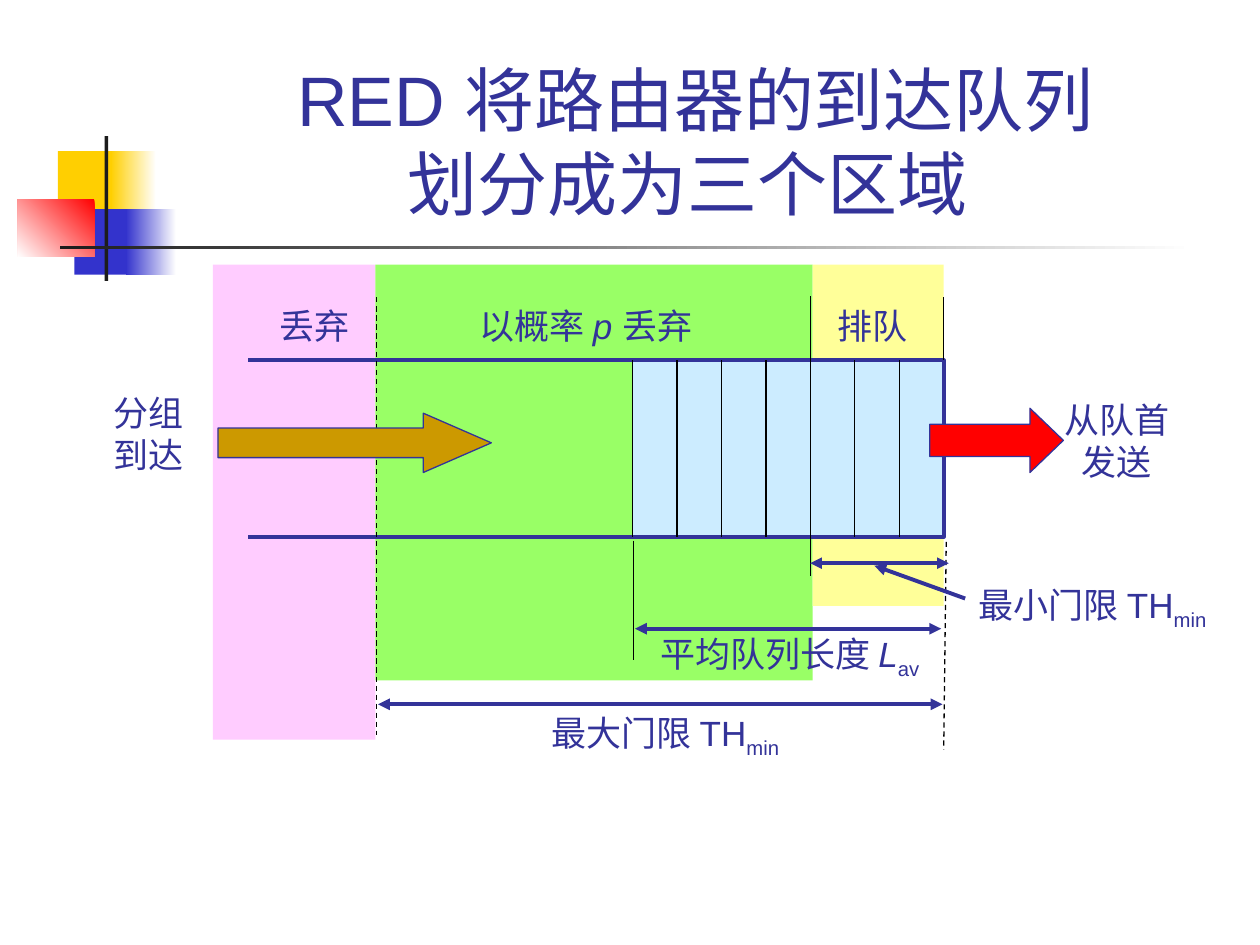
from dataclasses import dataclass

from lxml import etree
from pptx import Presentation
from pptx.dml.color import RGBColor
from pptx.enum.dml import MSO_LINE
from pptx.enum.shapes import MSO_CONNECTOR, MSO_SHAPE
from pptx.enum.text import MSO_ANCHOR, MSO_AUTO_SIZE, PP_ALIGN
from pptx.oxml.ns import qn
from pptx.util import Inches, Pt

RECT = MSO_SHAPE.RECTANGLE
ARROW = MSO_SHAPE.RIGHT_ARROW
STRAIGHT = MSO_CONNECTOR.STRAIGHT
DASH = MSO_LINE.DASH
BOTTOM = MSO_ANCHOR.BOTTOM
FIT = MSO_AUTO_SIZE.SHAPE_TO_FIT_TEXT
LEFT, CENTER = PP_ALIGN.LEFT, PP_ALIGN.CENTER
SLACK = 0.06


@dataclass(frozen=True)
class Theme:
    font: str = "Arial"
    title: float = 40
    label: float = 20
    thin: float = 0.75
    thick: float = 2.25
    ink: str = "333399"
    black: str = "000000"
    white: str = "FFFFFF"
    dark: str = "1C1C1C"
    gold: str = "FFCF01"
    blue: str = "3333CC"
    red: str = "FF0000"
    green: str = "99FF66"
    yellow: str = "FFFF99"
    pink: str = "FFCCFF"
    sky: str = "CCECFF"
    ochre: str = "CC9900"


T = Theme()


def rgb(code):
    return RGBColor.from_string(code)


def block(slide, x, y, w, h, fill, kind=RECT, angle=None):
    shape = slide.shapes.add_shape(kind, Inches(x), Inches(y), Inches(w), Inches(h))
    shape.shadow.inherit = False
    shape.line.fill.background()
    if angle is None:
        shape.fill.solid()
        shape.fill.fore_color.rgb = rgb(fill)
    else:
        shape.fill.gradient()
        shape.fill.gradient_angle = 360 - angle
        for stop, code in zip(shape.fill.gradient_stops, fill):
            stop.color.rgb = rgb(code)
    return shape


def arrow(slide, x, y, w, h, fill, tip):
    shape = block(slide, x, y, w, h, fill, ARROW)
    shape.adjustments[0] = 0.5
    shape.adjustments[1] = tip
    shape.line.color.rgb = rgb(T.ink)
    shape.line.width = Pt(T.thin)


def rule(slide, x1, y1, x2, y2, color=T.black, width=T.thin, dash=None, ends=()):
    line = slide.shapes.add_connector(
        STRAIGHT, Inches(x1), Inches(y1), Inches(x2), Inches(y2))
    line.line.color.rgb = rgb(color)
    line.line.width = Pt(width)
    if dash:
        line.line.dash_style = dash
    props = line._element.spPr
    for end in ends:
        etree.SubElement(props.find(qn("a:ln")), qn("a:" + end), type="triangle")
    etree.SubElement(props, qn("a:effectLst"))


def pointer(slide, x1, y1, x2, y2, ends=("headEnd", "tailEnd")):
    rule(slide, x1, y1, x2, y2, T.ink, T.thick, ends=ends)


def style(para, size, align):
    para.alignment = align
    para.font.name = T.font
    para.font.size = Pt(size)
    para.font.color.rgb = rgb(T.ink)


def label(slide, x, y, w, h, rows, align=LEFT):
    shift = SLACK / 2 if align == CENTER else 0
    frame = slide.shapes.add_textbox(
        Inches(x - shift), Inches(y), Inches(w + SLACK), Inches(h)).text_frame
    frame.word_wrap = False
    frame.auto_size = FIT
    for i, row in enumerate(rows):
        para = frame.add_paragraph() if i else frame.paragraphs[0]
        style(para, T.label, align)
        for text, look in row:
            run = para.add_run()
            run.text = text
            if look == "italic":
                run.font.italic = True
            elif look == "sub":
                run.font._element.set("baseline", "-25000")


def heading(slide, x, y, w, h):
    title = slide.shapes.title
    title.left, title.top = Inches(x), Inches(y)
    title.width, title.height = Inches(w), Inches(h)
    frame = title.text_frame
    frame.vertical_anchor = BOTTOM
    frame.word_wrap = True
    para = frame.paragraphs[0]
    para.text = "RED 将路由器的到达队列\n划分成为三个区域 "
    style(para, T.title, CENTER)


def emblem(slide, x, y):
    block(slide, x + 0.32, y + 0.12, 0.48, 0.52, T.gold)
    block(slide, x + 0.74, y + 0.12, 0.36, 0.52, (T.white, T.gold), angle=180)
    block(slide, x + 0.45, y + 0.58, 0.46, 0.52, T.blue)
    block(slide, x + 0.86, y + 0.58, 0.4, 0.52, (T.white, T.blue), angle=180)
    block(slide, x, y + 0.5, 0.61, 0.46, (T.red, T.white), angle=135)
    block(slide, x + 0.69, y, 0.03, 1.15, T.dark)
    block(slide, x + 0.34, y + 0.87, 9, 0.03, (T.white, T.dark), angle=180)


def zones(slide, x, y):
    left = x
    for width, height, fill, text, inset in (
        (1.29, 3.77, T.pink, [("丢弃", "")], 0.43),
        (3.47, 3.3, T.green, [("以概率 ", ""), ("p ", "italic"), ("丢弃", "")], 0.73),
        (1.04, 2.71, T.yellow, [("排队", "")], 0.1),
    ):
        block(slide, left, y, width, height, fill)
        span = 2.02 if len(text) > 1 else 0.75
        label(slide, left + inset, y + 0.27, span, 0.44, [text])
        left += width


def queue(slide, x, y, w, h):
    cells, mark = 7, 3
    right, base = x + w, y + h
    pitch = 2.47 / cells
    block(slide, right - cells * pitch, y, cells * pitch, h, T.sky)
    path = slide.shapes.build_freeform(Inches(x), Inches(y))
    path.add_line_segments(
        [(Inches(a), Inches(b)) for a, b in ((right, y), (right, base), (x, base))],
        close=False)
    frame = path.convert_to_shape()
    frame.shadow.inherit = False
    frame.fill.background()
    frame.line.color.rgb = rgb(T.ink)
    frame.line.width = Pt(T.thick)
    for i in range(1, cells + 1):
        over, under = (0.51, 0.31) if i == mark else (0, 0)
        rule(slide, right - i * pitch, y - over, right - i * pitch, base + under)
    rule(slide, right, y - 0.5, right, y)
    rule(slide, x + 1.02, y - 0.5, x + 1.02, y + 2.97, dash=DASH)


def flow(slide, x, y):
    label(slide, x, y, 0.75, 0.77, [[("分组", "")], [("到达", "")]], CENTER)
    arrow(slide, x + 0.93, y + 0.22, 2.17, 0.47, T.ochre, 1.148)
    arrow(slide, x + 6.58, y + 0.18, 1.06, 0.51, T.red, 0.52)
    label(slide, x + 7.55, y + 0.05, 1.03, 0.77,
          [[("从队首", "")], [("发送", "")]], CENTER)


def limits(slide, x, y):
    rule(slide, x + 4.52, y + 0.01, x + 4.5, y + 1.66, dash=DASH)
    rule(slide, x + 2.04, y, x + 2.04, y + 0.95)
    pointer(slide, x + 3.44, y + 0.18, x + 4.54, y + 0.18)
    pointer(slide, x + 2.05, y + 0.7, x + 4.48, y + 0.7)
    pointer(slide, x + 0.01, y + 1.3, x + 4.49, y + 1.3)
    pointer(slide, x + 4.67, y + 0.46, x + 3.95, y + 0.2, ("tailEnd",))
    label(slide, x + 4.68, y + 0.29, 2.14, 0.48, [[("最小门限 TH", ""), ("min", "sub")]])
    label(slide, x + 2.15, y + 0.68, 2.32, 0.48,
          [[("平均队列长度 ", ""), ("L", "italic"), ("av", "sub")]])
    label(slide, x + 1.29, y + 1.31, 2.07, 0.48, [[("最大门限 TH", ""), ("min", "sub")]])


def main():
    deck = Presentation()
    deck.slide_width, deck.slide_height = Inches(10), Inches(7.5)
    slide = deck.slides.add_slide(deck.slide_layouts[5])
    emblem(slide, 0.14, 1.08)
    heading(slide, 1.26, 0.23, 8.52, 1.6)
    zones(slide, 1.69, 2.1)
    queue(slide, 1.97, 2.86, 5.52, 1.4)
    flow(slide, 0.8, 3.06)
    limits(slide, 2.99, 4.29)
    deck.save("out.pptx")


if __name__ == "__main__":
    main()
